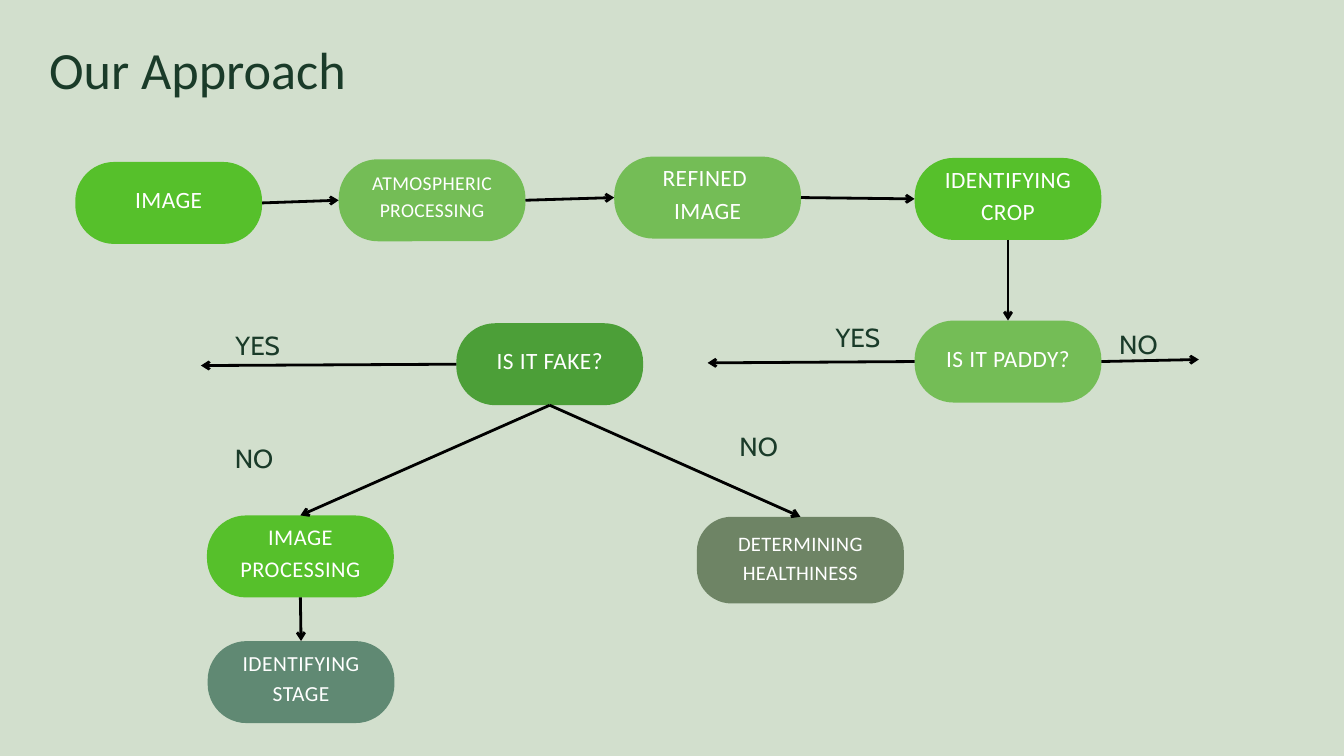
from lxml import etree
from pptx import Presentation
from pptx import util as u
from pptx.dml.color import RGBColor
from pptx.enum import shapes, text
from pptx.oxml.ns import qn

COLS, ROWS = 20, 11.25
CELL = u.Inches(1)  # one grid column or row
NODE_W, NODE_H = 2.78, 1.22
TOP, LEFT, BOTTOM, RIGHT = range(4)
COLORS = {
    "background": "D2DFCD",
    "ink": "1A3B29",
    "arrow": "000000",
    "white": "FFFFFF",
    "bright": "56C02B",
    "soft": "74BD56",
    "deep": "4C9F38",
    "teal": "608973",
    "olive": "6E8465",
}

# name: (column, row, text, colour, format)
NODES = {
    "image": (1.12, 2.41, "IMAGE", "bright", {}),
    "atmospheric": (5.04, 2.37, "ATMOSPHERIC\nPROCESSING", "soft",
                    dict(size=21, spacing=0.4)),
    "refined": (9.14, 2.33, "REFINED \nIMAGE", "soft", {}),
    "crop": (13.61, 2.35, "IDENTIFYING\nCROP", "bright", {}),
    "paddy": (13.61, 4.77, "IS IT PADDY?", "soft", {}),
    "fake": (6.79, 4.81, "IS IT FAKE?", "deep", {}),
    "processing": (3.08, 7.67, "IMAGE\nPROCESSING", "bright", dict(size=24)),
    "stage": (3.09, 9.54, "IDENTIFYING\nSTAGE", "teal", dict(size=23)),
    "health": (10.37, 7.69, "DETERMINING\nHEALTHINESS", "olive",
               dict(size=22, spacing=0.4, w=3.08, h=1.29, lift=0.14, round=0.4)),
}

# (node, side, target): the target is a (node, side) or a free (column, row)
ARROWS = [
    ("image", RIGHT, ("atmospheric", LEFT)),
    ("atmospheric", RIGHT, ("refined", LEFT)),
    ("refined", RIGHT, ("crop", LEFT)),
    ("crop", BOTTOM, ("paddy", TOP)),
    ("paddy", LEFT, (10.53, 5.4)),
    ("paddy", RIGHT, (17.84, 5.35)),
    ("fake", LEFT, (2.99, 5.44)),
    ("fake", BOTTOM, ("health", TOP)),
    ("fake", BOTTOM, ("processing", TOP)),
    ("processing", BOTTOM, ("stage", TOP)),
]

LABELS = [
    ("YES", 12.41, 4.7),
    ("NO", 16.64, 4.81),
    ("YES", 3.48, 4.83),
    ("NO", 10.99, 6.32),
    ("NO", 3.48, 6.51),
]


def cells(*lengths):
    return [round(n * CELL) for n in lengths]


def rgb(name):
    return RGBColor.from_string(COLORS[name])


def write(tf, words, size=25, color="white", font="Calibri", spacing=0,
          align=text.PP_ALIGN.CENTER, anchor=text.MSO_ANCHOR.TOP, insets=(0, 0, 0, 0)):
    """Fill a text frame, one paragraph a line; insets are left, top, right, bottom."""
    tf.word_wrap = True
    tf.vertical_anchor = anchor
    tf.margin_left, tf.margin_top, tf.margin_right, tf.margin_bottom = cells(*insets)
    for i, line in enumerate(words.split("\n")):
        p = tf.paragraphs[0] if i == 0 else tf.add_paragraph()
        p.alignment = align
        p.line_spacing = u.Pt(size * 1.4)
        r = p.add_run()
        r.text = line
        r.font.name = font
        r.font.size = u.Pt(size)
        r.font.color.rgb = rgb(color)
        if spacing:
            r.font._element.set("spc", str(round(spacing * 100)))


def add_node(s, x, y, words, color, size=25, spacing=0.5, w=NODE_W, h=NODE_H,
             lift=0.18, round=0.475):
    """Draw a rounded box; lift is the extra bottom inset that raises its text."""
    sp = s.shapes.add_shape(shapes.MSO_SHAPE.ROUNDED_RECTANGLE, *cells(x, y, w, h))
    sp.adjustments[0] = round
    sp.shadow.inherit = False
    sp.fill.solid()
    sp.fill.fore_color.rgb = rgb(color)
    sp.line.fill.background()
    write(sp.text_frame, words, size=size, spacing=spacing,
          anchor=text.MSO_ANCHOR.MIDDLE, insets=(0.06, 0, 0.06, lift))
    return sp


def add_arrow(s, nodes, start, side, target):
    joined = target[0] in nodes
    end = (0, 0) if joined else cells(*target)
    c = s.shapes.add_connector(shapes.MSO_CONNECTOR.STRAIGHT, 0, 0, *end)
    c.begin_connect(nodes[start], side)
    if joined:
        c.end_connect(nodes[target[0]], target[1])
    c.line.color.rgb = rgb("arrow")
    c.line.width = u.Pt(3)
    etree.SubElement(c.line._get_or_add_ln(), qn("a:tailEnd"), type="arrow")
    etree.SubElement(c._element.spPr, qn("a:effectLst"))


def add_text(s, x, y, w, h, words, **fmt):
    tb = s.shapes.add_textbox(*cells(x, y, w, h))
    write(tb.text_frame, words, color="ink", **fmt)


def main():
    prs = Presentation()
    prs.slide_width, prs.slide_height = cells(COLS, ROWS)
    s = prs.slides.add_slide(prs.slide_layouts[6])
    s.background.fill.solid()
    s.background.fill.fore_color.rgb = rgb("background")

    add_text(s, 0.73, 0.4, 6.06, 1.05, "Our Approach", size=56,
             align=text.PP_ALIGN.LEFT)
    nodes = {name: add_node(s, *place, **fmt)
             for name, (*place, fmt) in NODES.items()}
    for arrow in ARROWS:
        add_arrow(s, nodes, *arrow)
    for words, x, y in LABELS:
        add_text(s, x, y, 0.71 if words == "YES" else 0.6, 0.53, words,
                 size=28, font="Cabin")
    prs.save("out.pptx")


if __name__ == "__main__":
    main()
